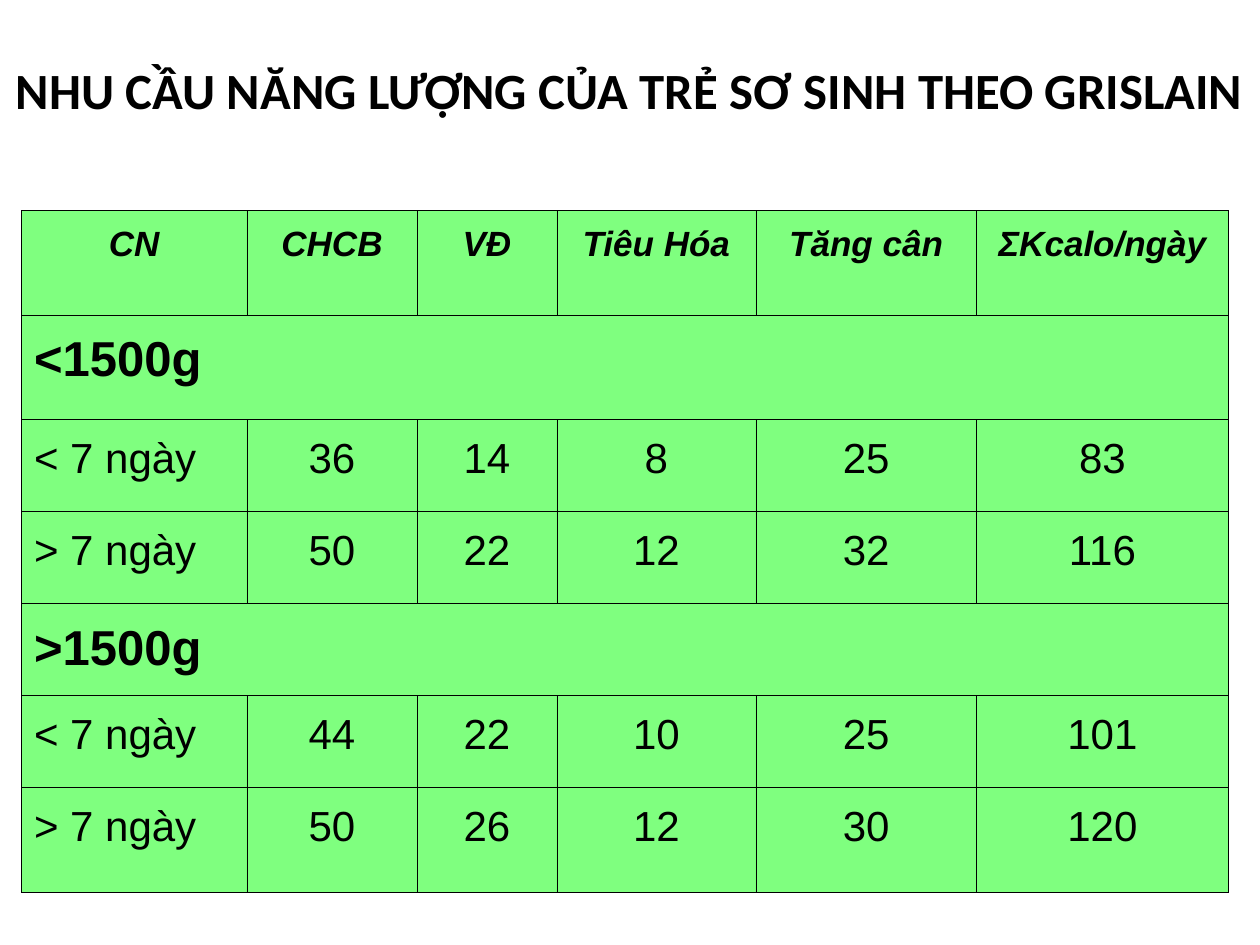
from lxml import etree
from pptx import Presentation
from pptx import util as u
from pptx.dml.color import RGBColor
from pptx.enum import text
from pptx.oxml.ns import qn

COLS = [1.79, 1.35, 1.11, 1.58, 1.75, 2]
ROWS = [0.83, 0.83, 0.73, 0.73, 0.73, 0.73, 0.83]
DATA = [
    ["CN", "CHCB", "VĐ", "Tiêu Hóa", "Tăng cân", "ƩKcalo/ngày"],
    ["<1500g"],
    ["< 7 ngày", "36", "14", "8", "25", "83"],
    ["> 7 ngày", "50", "22", "12", "32", "116"],
    [">1500g"],
    ["< 7 ngày", "44", "22", "10", "25", "101"],
    ["> 7 ngày", "50", "26", "12", "30", "120"],
]


def color(code):
    return RGBColor.from_string(code)


def add_run(para, words, face, size, bold=False, slant=False):
    run = para.add_run()
    run.text = words
    font = run.font
    font.name, font.size = face, u.Pt(size)
    font.bold, font.italic = bold, slant
    font.color.rgb = color("000000")


def add_title(slide, words):
    title = slide.shapes.title
    title.left, title.top = u.Inches(0), u.Inches(0.17)
    title.width, title.height = u.Inches(10), u.Inches(1.08)
    frame = title.text_frame
    frame.word_wrap = True
    frame.auto_size = text.MSO_AUTO_SIZE.NONE
    frame.vertical_anchor = text.MSO_ANCHOR.MIDDLE
    para = frame.paragraphs[0]
    para.alignment = text.PP_ALIGN.CENTER
    add_run(para, words, "Calibri", 29, bold=True)


def paint(cell):
    cell.fill.solid()
    cell.fill.fore_color.rgb = color("00FF00")
    props = cell._tc.get_or_add_tcPr()
    tint = props.find(qn("a:solidFill")).find(qn("a:srgbClr"))
    etree.SubElement(tint, qn("a:alpha"), val="50000")
    for spot, side in enumerate("LRTB"):
        line = etree.Element(qn("a:ln" + side), w=str(u.Pt(0.45)))
        fill = etree.SubElement(line, qn("a:solidFill"))
        etree.SubElement(fill, qn("a:srgbClr"), val="000000")
        props.insert(spot, line)


def write(cell, words, align, size, bold, slant):
    para = cell.text_frame.paragraphs[0]
    para.alignment = align
    para.line_spacing = 1.2
    props = para._p.get_or_add_pPr()
    props.set("marL", str(u.Inches(0.38)))
    props.set("indent", str(u.Inches(-0.38)))
    add_run(para, words, "Arial", size, bold, slant)


def add_grid(slide):
    frame = slide.shapes.add_table(
        len(ROWS), len(COLS), u.Inches(0.17), u.Inches(1.67),
        u.Inches(sum(COLS)), u.Inches(sum(ROWS)))
    table = frame.table
    table.horz_banding = False
    for col, width in zip(table.columns, COLS):
        col.width = u.Inches(width)
    for row, height in zip(table.rows, ROWS):
        row.height = u.Inches(height)
    for cell in table.iter_cells():
        paint(cell)
    for r, items in enumerate(DATA):
        head, group = r == 0, len(items) == 1
        size = 20 if head else 28 if group else 24
        if group:
            table.cell(r, 0).merge(table.cell(r, len(COLS) - 1))
        for c, words in enumerate(items):
            label = c == 0 and not head
            align = text.PP_ALIGN.JUSTIFY if label else text.PP_ALIGN.CENTER
            write(table.cell(r, c), words, align, size, head or group, head)


def main():
    deck = Presentation()
    deck.slide_width, deck.slide_height = u.Inches(10), u.Inches(7.5)
    slide = deck.slides.add_slide(deck.slide_layouts[5])
    add_title(slide, "NHU CẦU NĂNG LƯỢNG CỦA TRẺ SƠ SINH THEO GRISLAIN")
    add_grid(slide)
    deck.save("out.pptx")


if __name__ == "__main__":
    main()
